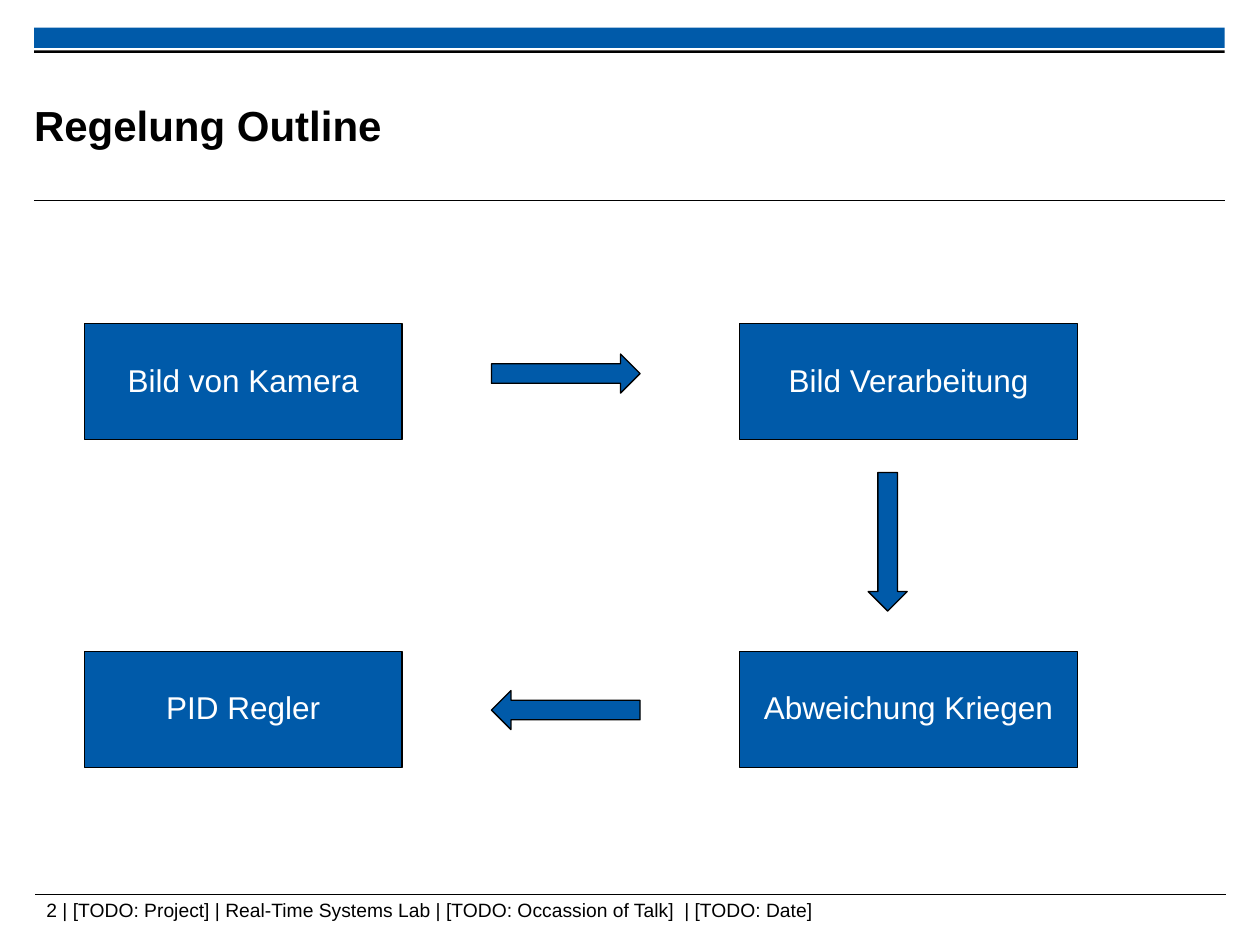
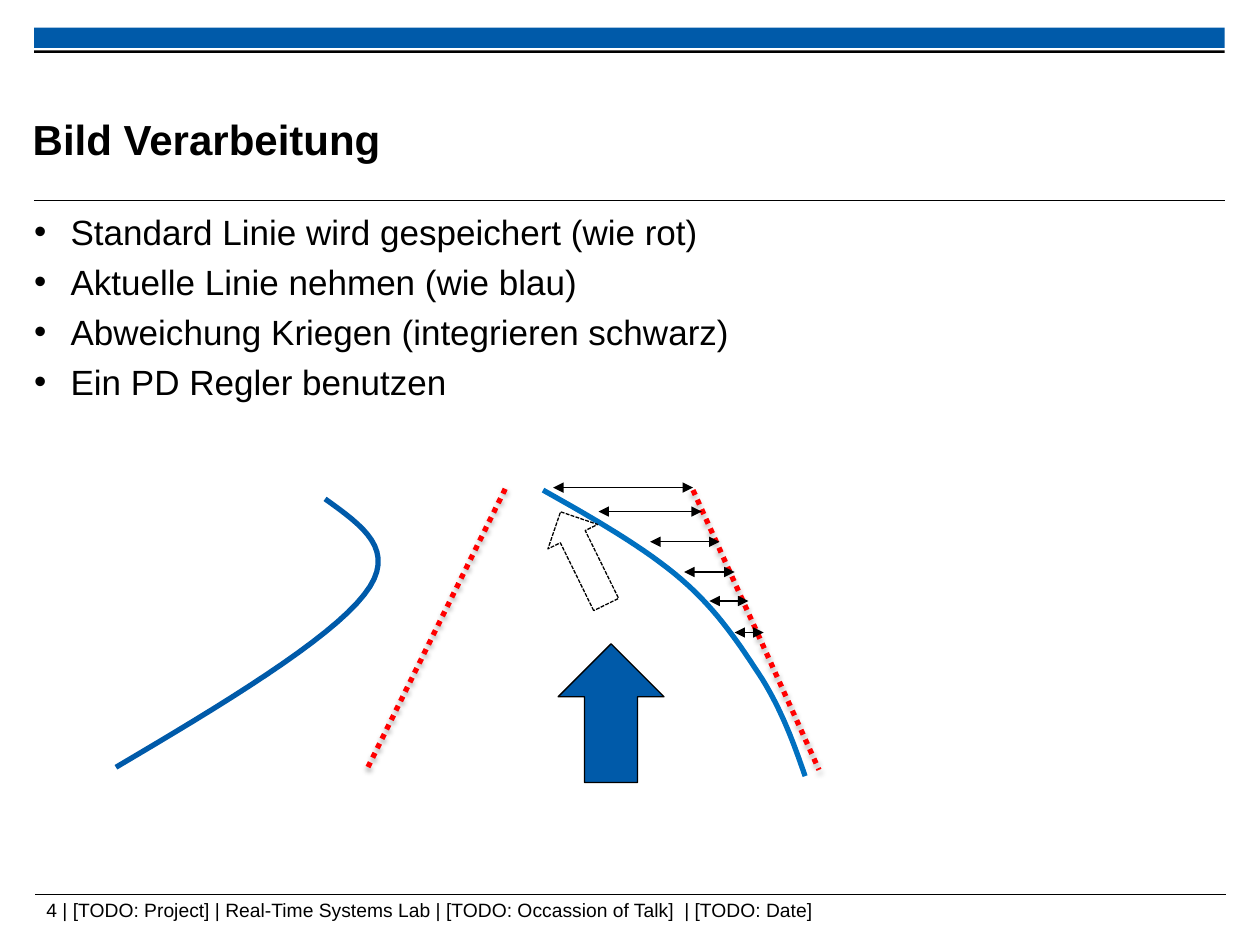
"""Two slides on lane control: an outline of the loop and the image processing."""
from lxml import etree
from pptx import Presentation
from pptx import util as u
from pptx.dml.color import RGBColor
from pptx.enum import dml, shapes, text
from pptx.oxml.ns import qn

BLUE = RGBColor(0x00, 0x5A, 0xA9)
LIGHT_BLUE = RGBColor(0x00, 0x70, 0xC0)
RED = RGBColor(0xFF, 0x00, 0x00)
BLACK = RGBColor(0x00, 0x00, 0x00)
WHITE = RGBColor(0xFF, 0xFF, 0xFF)
FONT = "Arial"
FOOTER = ("{} | [TODO: Project] | Real-Time Systems Lab"
          " | [TODO: Occassion of Talk]  | [TODO: Date]")

# The slide is a grid of 100 columns and 75 rows, each a tenth of an inch.
COLS, ROWS = 100, 75
CELL = u.Inches(0.1)
LEFT, WIDTH = 2.7, 94.5
RECT = shapes.MSO_SHAPE.RECTANGLE
RIGHT = shapes.MSO_SHAPE.RIGHT_ARROW
DOWN = shapes.MSO_SHAPE.DOWN_ARROW


def grid(*cells):
    """Turn grid cells into slide lengths."""
    return [u.Emu(round(c * CELL)) for c in cells]


def add_xml(parent, tag, **attrs):
    """Append a drawing element with its attributes."""
    return etree.SubElement(parent, qn("a:" + tag), attrs)


def bezier(start, *segments, steps=16):
    """Sample a chain of cubic curves as points."""
    points = [start]
    for c1, c2, end in segments:
        p0 = points[-1]
        for i in range(1, steps + 1):
            t = i / steps
            weights = ((1 - t) ** 3, 3 * t * (1 - t) ** 2,
                       3 * t * t * (1 - t), t ** 3)
            points.append(tuple(
                sum(w * p[axis] for w, p in zip(weights, (p0, c1, c2, end)))
                for axis in (0, 1)))
    return points


class Deck:
    """Holds the style and the current slide."""

    def __init__(self):
        self.prs = Presentation()
        self.prs.slide_width, self.prs.slide_height = grid(COLS, ROWS)
        self.s = None

    def slide(self, number, title, left, top, lift=0):
        """Start a slide with bands, rules, footer and title."""
        self.s = self.prs.slides.add_slide(self.prs.slide_layouts[5])
        sp = self.s.shapes.title
        sp.left, sp.top, sp.width, sp.height = grid(left, top, 75.2, 9.2)
        tf = self.frame(sp, text.MSO_ANCHOR.MIDDLE)
        tf.margin_bottom = grid(lift)[0]
        self.label(tf.paragraphs[0], title, 24, bold=True)

        self.line((2.8, 71), (97.3, 71), width=0.6)
        self.shape(RECT, LEFT, 2.2, WIDTH, 1.6, edge=None)
        self.line((LEFT, 15.9), (LEFT + WIDTH, 15.9), width=0.6)
        self.shape(RECT, LEFT, 4, WIDTH, 0.2, fill=BLACK, edge=None)
        tf = self.s.shapes.add_textbox(*grid(LEFT, 71, 66.5, 2.7)).text_frame
        tf.word_wrap = False
        p = tf.paragraphs[0]
        p.line_spacing = 0.93
        self.label(p, FOOTER.format(number), 11)

    def frame(self, sp, anchor, margin=0):
        """Give a text frame its anchor and margins, without side margins."""
        tf = sp.text_frame
        tf.word_wrap = True
        tf.auto_size = text.MSO_AUTO_SIZE.NONE
        tf.vertical_anchor = anchor
        tf.margin_left = tf.margin_right = 0
        tf.margin_top, tf.margin_bottom = grid(margin, margin)
        return tf

    def label(self, p, words, size, color=BLACK, bold=False,
              align=text.PP_ALIGN.LEFT):
        """Fill a paragraph with text in one style."""
        p.text = words
        p.alignment = align
        p.font.name, p.font.size, p.font.bold = FONT, u.Pt(size), bold
        p.font.color.rgb = color

    def shape(self, kind, x, y, w, h, fill=BLUE, edge=BLACK, turn=0):
        """Add a preset shape; no fill or edge where it is None."""
        sp = self.s.shapes.add_shape(kind, *grid(x, y, w, h))
        sp.shadow.inherit = False
        sp.rotation = turn
        for part, color in ((sp.fill, fill), (sp.line.fill, edge)):
            if color is None:
                part.background()
            else:
                part.solid()
                part.fore_color.rgb = color
        if edge is not None:
            sp.line.width = u.Pt(0.75)
        return sp

    def box(self, x, y, w, words):
        """Add a labelled step of the control loop."""
        sp = self.shape(RECT, x, y, w, 9.2)
        tf = sp.text_frame
        tf.word_wrap = False
        tf.vertical_anchor = text.MSO_ANCHOR.MIDDLE
        p = tf.paragraphs[0]
        p.line_spacing = 0.93
        self.label(p, words, 18, WHITE, align=text.PP_ALIGN.CENTER)

    def line(self, start, end, color=BLACK, width=0.75):
        """Add a straight line without shadow; return it with its effects."""
        sp = self.s.shapes.add_connector(
            shapes.MSO_CONNECTOR.STRAIGHT, *grid(*start, *end))
        sp.line.color.rgb = color
        sp.line.width = u.Pt(width)
        effects = add_xml(sp._element.spPr, "effectLst")
        return sp, effects

    def deviation(self, x1, x2, y):
        """Add a level arrow with a head at both ends."""
        sp, _ = self.line((x1, y), (x2, y))
        for end in ("headEnd", "tailEnd"):
            add_xml(sp.line._get_or_add_ln(), end, type="triangle")

    def standard_line(self, start, end):
        """Add a dotted red line with a soft shadow below it."""
        sp, effects = self.line(start, end, RED, 3)
        sp.line.dash_style = dml.MSO_LINE.ROUND_DOT
        shadow = add_xml(effects, "outerShdw", blurRad=str(u.Pt(3.1)),
                         dist=str(u.Pt(1.8)), dir="5400000", rotWithShape="0")
        add_xml(add_xml(shadow, "srgbClr", val="000000"), "alpha", val="35000")

    def curve(self, color, start, *segments):
        """Add an open curve through cubic segments."""
        first, *rest = [grid(*p) for p in bezier(start, *segments)]
        builder = self.s.shapes.build_freeform(*first)
        builder.add_line_segments(rest, close=False)
        sp = builder.convert_to_shape()
        sp.shadow.inherit = False
        sp.fill.background()
        sp.line.color.rgb = color
        sp.line.width = u.Pt(3)

    def bullets(self, x, y, w, h, items):
        """Add a bulleted list."""
        sp = self.s.shapes.add_textbox(*grid(x, y, w, h))
        tf = self.frame(sp, text.MSO_ANCHOR.TOP, margin=0.5)
        indent = grid(2.9)[0]
        for i, item in enumerate(items):
            p = tf.add_paragraph() if i else tf.paragraphs[0]
            p.space_before = u.Pt(4.6)
            pPr = p._p.get_or_add_pPr()
            pPr.set("marL", str(indent))
            pPr.set("indent", str(-indent))
            add_xml(pPr, "buFont", typeface=FONT)
            add_xml(pPr, "buChar", char="•")
            self.label(p, item, 20)


def outline(d):
    """Build the loop of four steps."""
    d.slide(2, "Regelung Outline", LEFT, 5.3)
    columns = ((6.7, 25.2), (58.7, 26.8))
    steps = ((25.7, ("Bild von Kamera", "Bild Verarbeitung")),
             (51.7, ("PID Regler", "Abweichung Kriegen")))
    for y, names in steps:
        for (x, w), name in zip(columns, names):
            d.box(x, y, w, name)
    d.shape(RIGHT, 39, 28.1, 11.8, 3.1)
    d.shape(DOWN, 68.9, 37.5, 3.1, 11)
    d.shape(RIGHT, 39, 54.8, 11.8, 3.1, turn=180)


def processing(d):
    """Build the comparison of standard and current lines."""
    d.slide(4, "Bild Verarbeitung", 2.6, 8.4, lift=4)
    d.bullets(LEFT, 16.2, WIDTH, 54.3, (
        "Standard Linie wird gespeichert (wie rot)",
        "Aktuelle Linie nehmen (wie blau)",
        "Abweichung Kriegen (integrieren schwarz)",
        "Ein PD Regler benutzen"))
    d.standard_line((55, 38.9), (65, 61.1))
    d.curve(LIGHT_BLUE, (63.9, 61.6),
            ((63, 59), (62.1, 56.5), (60.5, 53.9)),
            ((58.8, 51.3), (57, 48.5), (54.1, 46)),
            ((51.2, 43.5), (47.2, 41.2), (43.1, 38.9)))
    for span in ((43.9, 55, 38.7), (47.5, 55.7, 40.6), (51.6, 57.1, 43),
                 (54.3, 58.3, 45.4), (56.3, 59.4, 47.7), (58.3, 60.6, 50.2)):
        d.deviation(*span)
    d.curve(BLUE, (25.8, 39.6),
            ((28.7, 41.7), (31.7, 43.7), (28.9, 47.2)),
            ((26.1, 50.8), (17.7, 55.9), (9.2, 60.9)))
    d.standard_line((40.1, 38.8), (29.1, 61.1))
    d.shape(RIGHT, 43, 52.4, 11, 8.4, turn=270)
    sp = d.shape(RIGHT, 42.2, 42.1, 8.2, 4.4, fill=None, turn=243.8)
    sp.line.dash_style = dml.MSO_LINE.SQUARE_DOT


deck = Deck()
outline(deck)
processing(deck)
deck.prs.save("out.pptx")
